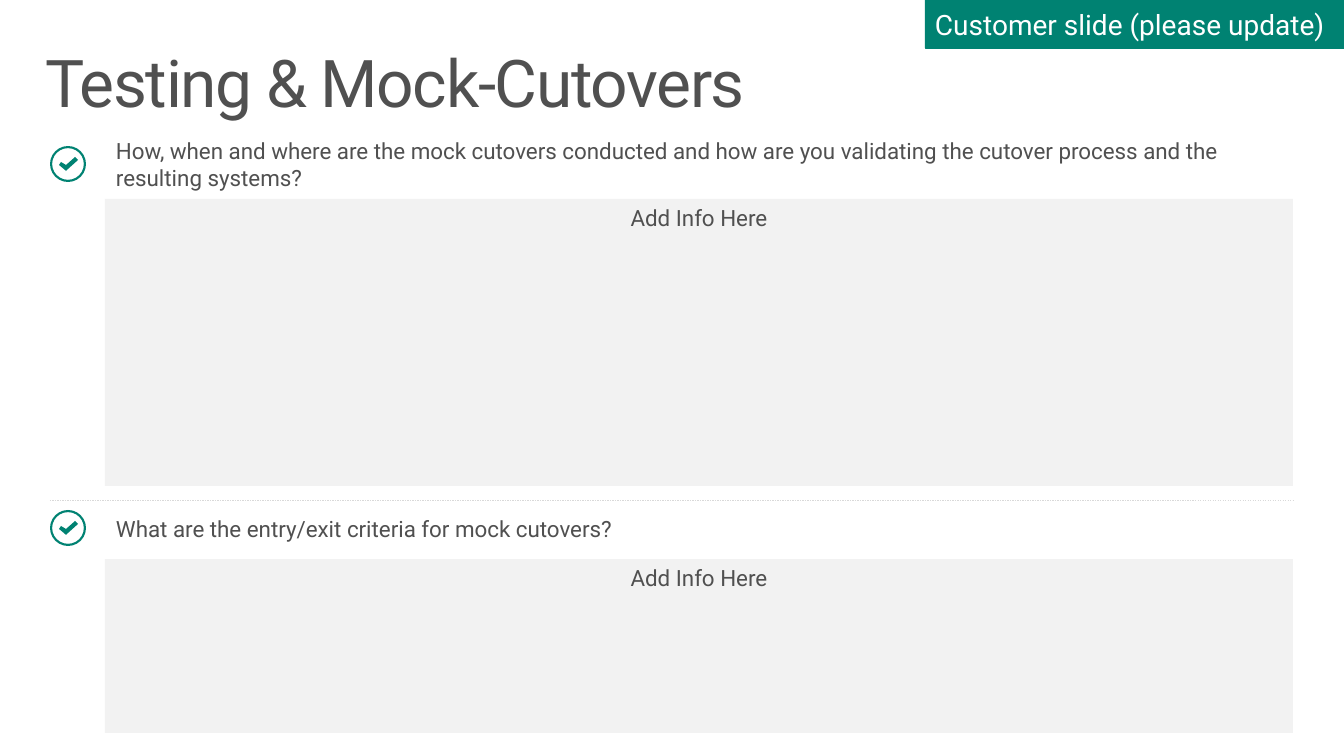
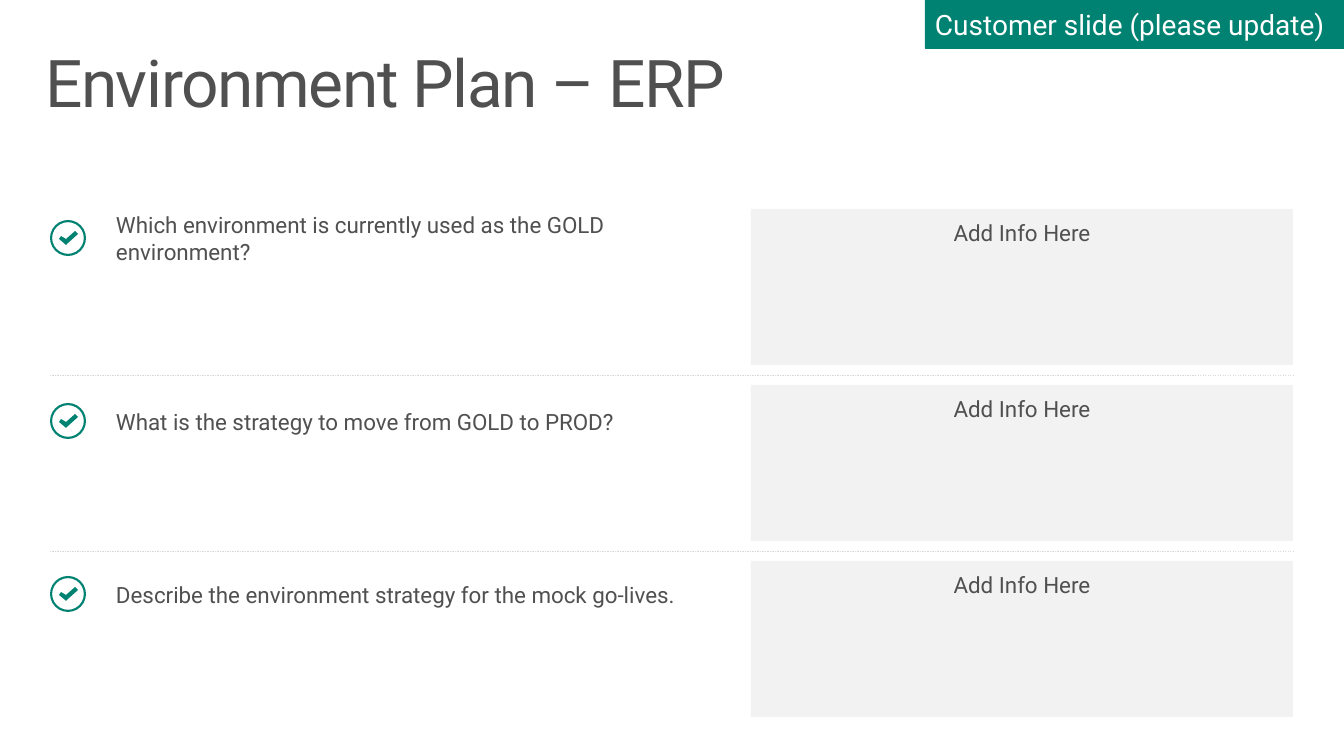
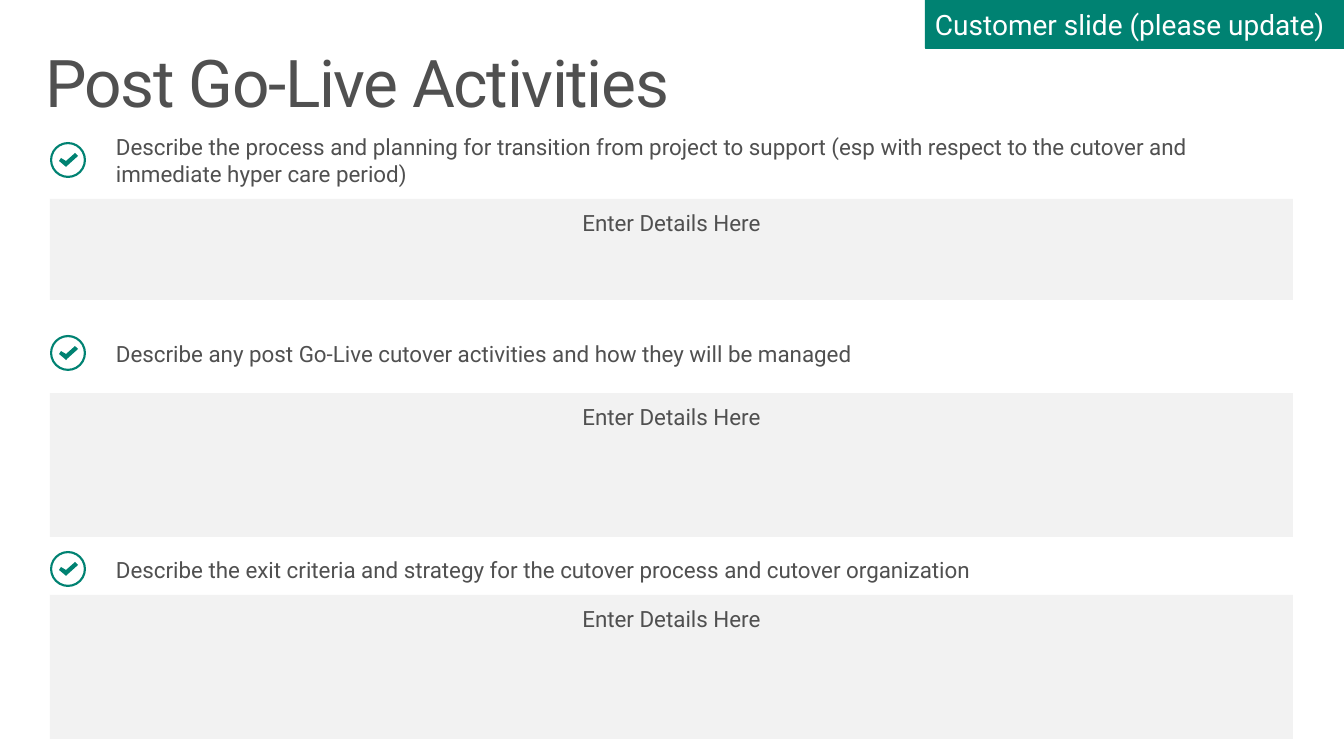
from dataclasses import dataclass

import pptx
import pptx.dml.color
import pptx.enum.dml
import pptx.enum.shapes
import pptx.enum.text
import pptx.oxml
import pptx.oxml.ns
import pptx.presentation
import pptx.shapes.autoshape
import pptx.shapes.base
import pptx.slide
import pptx.text.text
import pptx.util

# Shared scale, colours and type
PX_PER_INCH = 100.8
TEAL = pptx.dml.color.RGBColor(0x00, 0x82, 0x72)
DARK_GREY = pptx.dml.color.RGBColor(0x50, 0x50, 0x50)
RULE_GREY = pptx.dml.color.RGBColor(0xD9, 0xD9, 0xD9)
PANEL_GREY = pptx.dml.color.RGBColor(0xF2, 0xF2, 0xF2)
WHITE = pptx.dml.color.RGBColor(0xFF, 0xFF, 0xFF)
FONT = "Roboto"
TITLE_ONLY = 5

ALIGN = pptx.enum.text.PP_ALIGN
ANCHOR = pptx.enum.text.MSO_ANCHOR
SHAPE = pptx.enum.shapes.MSO_SHAPE

# Shared layout
LEFT, RIGHT = 50, 1293
QUESTION_LEFT = 56
RING_SIZE = 36
TICK = ((25, 11), (16, 19), (11, 16), (9, 19), (15, 24), (16, 25), (18, 23), (28, 14))
ONE_LINE, TWO_LINES = 37, 57


@dataclass(frozen=True)
class Rect:
    left: int
    top: int
    width: int
    height: int

    def emu(self) -> tuple:
        return px(self.left), px(self.top), px(self.width), px(self.height)


@dataclass(frozen=True)
class Question:
    text: str
    middle: int
    width: int
    height: int
    panel: Rect


@dataclass(frozen=True)
class Page:
    title: str
    prompt: str
    panel_inset: int
    questions: tuple
    rules: tuple = ()


TITLE = Rect(29, 41, 1285, 99)
BAND = Rect(925, 0, 419, 48)

# Slide 2 stacks equal panels, with a rule halfway along each gap
PLAN_TOPS = [209 + 176 * row for row in range(3)]
PLAN_PANELS = [Rect(751, top, 542, 156) for top in PLAN_TOPS]

PAGES = (
    Page("Testing & Mock-Cutovers", "Add Info Here", 5, (
        Question("How, when and where are the mock cutovers conducted and how are you "
                 "validating the cutover process and the resulting systems?",
                 164, 1188, 64, Rect(105, 199, 1188, 287)),
        Question("What are the entry/exit criteria for mock cutovers?",
                 528, 680, ONE_LINE, Rect(105, 559, 1188, 174)),
    ), (500,)),
    Page("Environment Plan – ERP", "Add Info Here", 10, (
        Question("Which environment is currently used as the GOLD environment?",
                 238, 680, TWO_LINES, PLAN_PANELS[0]),
        Question("What is the strategy to move from GOLD to PROD?",
                 421, 680, ONE_LINE, PLAN_PANELS[1]),
        Question("Describe the environment strategy for the mock go-lives.",
                 594, 680, TWO_LINES, PLAN_PANELS[2]),
    ), tuple(top - 10 for top in PLAN_TOPS[1:])),
    Page("Post Go-Live Activities", "Enter Details Here", 10, (
        Question("Describe the process and planning for transition from project to support "
                 "(esp with respect to the cutover and immediate hyper care period)",
                 160, 1238, TWO_LINES, Rect(LEFT, 199, RIGHT - LEFT, 101)),
        Question("Describe any post Go-Live cutover activities and how they will be managed",
                 353, 1238, TWO_LINES, Rect(LEFT, 393, RIGHT - LEFT, 144)),
        Question("Describe the exit criteria and strategy for the cutover process "
                 "and cutover organization",
                 569, 1238, TWO_LINES, Rect(LEFT, 595, RIGHT - LEFT, 144)),
    )),
)


def px(length: int) -> pptx.util.Emu:
    return pptx.util.Emu(round(length * 914400 / PX_PER_INCH))


def write(box: pptx.shapes.base.BaseShape, text: str, size: int,
          colour: pptx.dml.color.RGBColor = DARK_GREY, align: ALIGN = ALIGN.LEFT,
          anchor: ANCHOR = ANCHOR.TOP, insets: tuple = (10, 5, 10, 5)) -> pptx.text.text._Run:
    """Write one run into a box; insets run left, top, right, bottom."""
    frame = box.text_frame
    frame.word_wrap = True
    frame.auto_size = pptx.enum.text.MSO_AUTO_SIZE.NONE
    frame.vertical_anchor = anchor
    frame.margin_left, frame.margin_top, frame.margin_right, frame.margin_bottom = map(px, insets)
    para = frame.paragraphs[0]
    para.alignment = align
    span = para.add_run()
    span.text = text
    span.font.name = FONT
    span.font.size = pptx.util.Pt(size)
    span.font.color.rgb = colour
    return span


def paint(shape: pptx.shapes.autoshape.Shape, colour: pptx.dml.color.RGBColor) -> None:
    shape.shadow.inherit = False
    shape.fill.solid()
    shape.fill.fore_color.rgb = colour
    shape.line.fill.background()


def add_title(slide: pptx.slide.Slide, text: str) -> None:
    title = slide.shapes.title
    title.left, title.top, title.width, title.height = TITLE.emu()
    span = write(title, text, 47, insets=(16, 10, 16, 10))
    title.text_frame.paragraphs[0].line_spacing = 0.9
    span.font._element.set("spc", "-100")


def add_band(slide: pptx.slide.Slide) -> None:
    band = slide.shapes.add_shape(SHAPE.RECTANGLE, *BAND.emu())
    paint(band, TEAL)
    band.line.color.rgb = TEAL
    band.line.width = pptx.util.Pt(0.25)
    write(band, "Customer slide (please update)", 20, WHITE, anchor=ANCHOR.MIDDLE)


def add_rule(slide: pptx.slide.Slide, top: int) -> None:
    rule = slide.shapes.add_connector(
        pptx.enum.shapes.MSO_CONNECTOR.STRAIGHT, px(LEFT), px(top), px(RIGHT), px(top))
    rule.line.color.rgb = RULE_GREY
    rule.line.width = pptx.util.Pt(0.25)
    rule.line.dash_style = pptx.enum.dml.MSO_LINE.DASH
    rule._element.spPr.append(pptx.oxml.parse_xml(
        f"<a:effectLst {pptx.oxml.ns.nsdecls('a')}/>"))


def add_question(slide: pptx.slide.Slide, question: Question) -> None:
    """Group the question text with its ticked ring."""
    shapes = slide.shapes.add_group_shape().shapes
    area = Rect(QUESTION_LEFT, question.middle - question.height // 2,
                question.width, question.height)
    box = shapes.add_textbox(*area.emu())
    write(box, question.text, 16, anchor=ANCHOR.MIDDLE, insets=(60, 5, 10, 5))

    ring_top = question.middle - RING_SIZE // 2
    ring = shapes.add_shape(SHAPE.DONUT, *Rect(LEFT, ring_top, RING_SIZE, RING_SIZE).emu())
    ring.adjustments[0] = 0.06
    paint(ring, TEAL)

    outline = shapes.build_freeform(*TICK[0], scale=px(1))
    outline.add_line_segments(TICK[1:], close=True)
    paint(outline.convert_to_shape(px(LEFT), px(ring_top)), TEAL)


def add_panel(slide: pptx.slide.Slide, area: Rect, prompt: str, inset: int) -> None:
    panel = slide.shapes.add_shape(SHAPE.RECTANGLE, *area.emu())
    paint(panel, PANEL_GREY)
    write(panel, prompt, 16, align=ALIGN.CENTER, insets=(10, inset, 10, 5))


def add_page(deck: pptx.presentation.Presentation, page: Page) -> None:
    slide = deck.slides.add_slide(deck.slide_layouts[TITLE_ONLY])
    add_title(slide, page.title)
    for top in page.rules:
        add_rule(slide, top)
    for question in page.questions:
        add_question(slide, question)
        add_panel(slide, question.panel, page.prompt, page.panel_inset)
    add_band(slide)


def main() -> None:
    deck = pptx.Presentation()
    deck.slide_width, deck.slide_height = px(1344), px(756)
    for page in PAGES:
        add_page(deck, page)
    deck.save("out.pptx")


if __name__ == "__main__":
    main()
